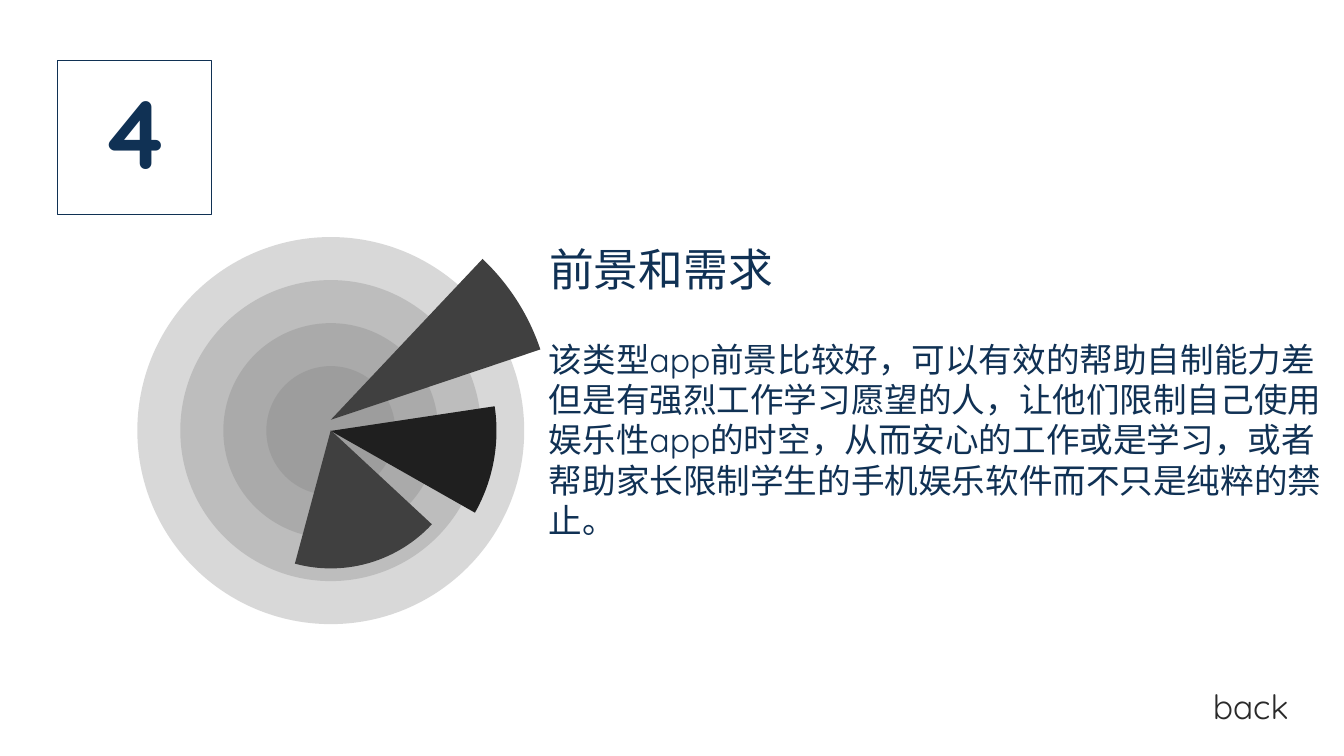
from pptx import Presentation
from pptx.dml.color import RGBColor
from pptx.enum.shapes import MSO_SHAPE as Shape
from pptx.enum.text import MSO_ANCHOR as Anchor, MSO_AUTO_SIZE as AutoSize, PP_ALIGN as Align
from pptx.oxml import parse_xml
from pptx.oxml.ns import nsdecls
from pptx.util import Pt

NAVY = RGBColor(0x10, 0x31, 0x54)
GREY = RGBColor(0x80, 0x80, 0x80)
CHARCOAL = RGBColor(0x40, 0x40, 0x40)
BLACK = RGBColor(0x1F, 0x1F, 0x1F)
INK = RGBColor(0x2A, 0x2A, 0x2A)


def write(box, text, size, color=NAVY, bold=False, align=Align.LEFT, anchor=Anchor.TOP,
          spacing=None, fit=AutoSize.SHAPE_TO_FIT_TEXT):
    frame = box.text_frame
    frame.word_wrap = True
    frame.auto_size = fit
    frame.vertical_anchor = anchor
    para = frame.paragraphs[0]
    para.alignment = align
    para.line_spacing = spacing
    span = para.add_run()
    span.text = text
    span.font.name = "Quicksand"
    span.font.size = Pt(size)
    span.font.bold = bold
    span.font.color.rgb = color


def add_disc(preset, center_y, diameter, color):
    left, top = 236.4 - diameter / 2, center_y - diameter / 2
    disc = page.shapes.add_shape(preset, Pt(left), Pt(top), Pt(diameter), Pt(diameter))
    disc.shadow.inherit = False
    disc.fill.solid()
    disc.fill.fore_color.rgb = color
    disc.line.fill.background()
    return disc


deck = Presentation()
deck.slide_width, deck.slide_height = Pt(960.5), Pt(540)
page = deck.slides.add_slide(deck.slide_layouts[5])

title = page.shapes.title
title.left, title.top, title.width, title.height = Pt(385.2), Pt(169.2), Pt(578.2), Pt(46)
write(title, "前景和需求", 32, fit=AutoSize.NONE)

body = page.shapes.add_textbox(Pt(385.2), Pt(238.3), Pt(578.2), Pt(151.2))
write(body, "该类型app前景比较好，可以有效的帮助自制能力差但是有强烈工作学习愿望的人，"
            "让他们限制自己使用娱乐性app的时空，从而安心的工作或是学习，"
            "或者帮助家长限制学生的手机娱乐软件而不只是纯粹的禁止。", 24)

number = page.shapes.add_shape(Shape.RECTANGLE, Pt(41), Pt(43.2), Pt(110.2), Pt(110.2))
number.shadow.inherit = False
number.fill.background()
number.line.color.rgb = NAVY
number.line.width = Pt(0.75)
write(number, "4", 69.3, bold=True, align=Align.CENTER, anchor=Anchor.MIDDLE,
      spacing=0.9, fit=AutoSize.NONE)

for step in range(4):
    ring = add_disc(Shape.OVAL, 307.6, 276.5 - 61.45 * step, GREY)
    tint = ring.fill.fore_color._xFill.find(".//{*}srgbClr")
    tint.append(parse_xml(f'<a:alpha {nsdecls("a")} val="30000"/>'))

wedges = [
    (299.9, 316, 313.35, 341.45, CHARCOAL),
    (307.8, 236.9, 351.45, 29.55, BLACK),
    (307.4, 197.3, 42.89, 105.07, CHARCOAL),
]
for center_y, diameter, start, end, color in wedges:
    wedge = add_disc(Shape.PIE, center_y, diameter, color)
    wedge.adjustments[0] = start * 0.6
    wedge.adjustments[1] = end * 0.6

back = page.shapes.add_textbox(Pt(859.7), Pt(486.7), Pt(100.8), Pt(36))
write(back, "back", 24, INK)

deck.save("out.pptx")
